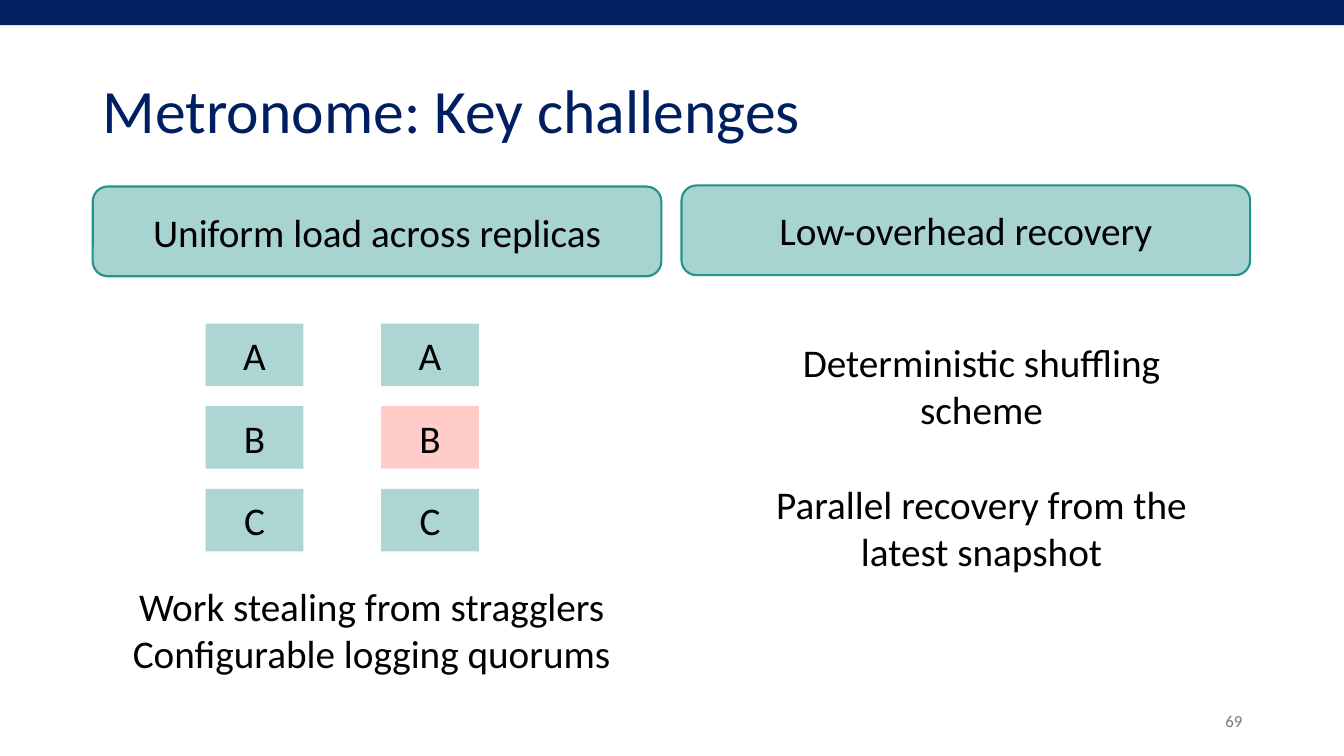
from lxml.etree import SubElement
from pptx import Presentation
from pptx.dml.color import RGBColor
from pptx.enum.shapes import MSO_SHAPE
from pptx.enum.text import MSO_ANCHOR, PP_ALIGN
from pptx.oxml.ns import qn
from pptx.util import Inches, Pt

COLORS = {
    "bar": "002060",
    "title": "001F60",
    "number": "797979",
    "teal": "23918C",
    "replica": "ADD5D3",
    "straggler": "FFCCC9",
    "text": "000000",
    "white": "FFFFFF",
}


class SlideBuilder:
    """Draws styled elements on one slide, placed in percent of its size."""

    font = "Calibri"
    body_size = 28

    def __init__(self, deck):
        self.deck = deck
        self.page = deck.slides.add_slide(deck.slide_layouts[5])

    def place(self, left, top, width, height):
        across, down = self.deck.slide_width / 100, self.deck.slide_height / 100
        return [round(v) for v in (left * across, top * down, width * across, height * down)]

    def add_text(self, box, paragraphs, size=body_size, color="text", align=PP_ALIGN.CENTER, gap=0):
        frame = box.text_frame
        frame.word_wrap = True
        frame.vertical_anchor = MSO_ANCHOR.MIDDLE
        for index, lines in enumerate(paragraphs):
            para = frame.add_paragraph() if index else frame.paragraphs[0]
            para.alignment = align
            if index:
                para.space_before = Pt(gap)
            for number, line in enumerate(lines):
                if number:
                    para.add_line_break()
                span = para.add_run()
                span.text = line
                span.font.name = self.font
                span.font.size = Pt(size)
                span.font.color.rgb = RGBColor.from_string(COLORS[color])

    def title(self, text, area):
        box = self.page.shapes.title
        box.left, box.top, box.width, box.height = self.place(*area)
        self.add_text(box, [[text]], 44, "title", PP_ALIGN.LEFT)
        box.text_frame.paragraphs[0].line_spacing = 0.9

    def page_number(self, text, area):
        box = self.page.shapes.add_textbox(*self.place(*area))
        self.add_text(box, [[text]], 12, "number", PP_ALIGN.RIGHT)

    def block(self, area, fill, paragraphs=(), kind=MSO_SHAPE.RECTANGLE, parent=None, gap=0):
        box = (parent or self.page).shapes.add_shape(kind, *self.place(*area))
        box.shadow.inherit = False
        box.fill.solid()
        box.fill.fore_color.rgb = RGBColor.from_string(COLORS[fill])
        box.line.fill.background()
        self.add_text(box, paragraphs, gap=gap)
        return box

    def heading(self, text, area):
        box = self.block(area, "teal", [[text]], MSO_SHAPE.ROUNDED_RECTANGLE)
        box.line.color.rgb = RGBColor.from_string(COLORS["teal"])
        box.line.width = Pt(1.5)
        color = box._element.spPr.find(qn("a:solidFill")).find(qn("a:srgbClr"))
        SubElement(color, qn("a:alpha")).set("val", "40000")

    def replicas(self, left, top, fills):
        group = self.page.shapes.add_group_shape()
        for row, (name, fill) in enumerate(zip("ABC", fills)):
            self.block((left, top + row * 10.93, 7.28, 8.27), fill, [[name]], parent=group)


def main():
    deck = Presentation()
    deck.slide_width, deck.slide_height = Inches(13.33), Inches(7.5)
    slide = SlideBuilder(deck)
    slide.block((0, 0, 100, 3.33), "bar")
    slide.title("Metronome: Key challenges", (6.9, 5.33, 86.27, 19.33))
    slide.page_number("69", (70.67, 92.67, 22.5, 5.33))
    slide.heading("Uniform load across replicas", (6.9, 24.67, 42.31, 11.87))
    slide.heading("Low-overhead recovery", (50.71, 24.53, 42.31, 11.87))
    slide.replicas(15.3, 42.8, ["replica"] * 3)
    slide.replicas(28.36, 42.8, ["replica", "straggler", "replica"])
    slide.block(
        (6.08, 75.6, 43.14, 15.33),
        "white",
        [["Work stealing from stragglers", "Configurable logging quorums"]],
    )
    slide.block(
        (51.46, 45.33, 43.14, 30.13),
        "white",
        [["Deterministic shuffling", "scheme"], ["Parallel recovery from the", "latest snapshot"]],
        gap=34,
    )
    deck.save("out.pptx")


if __name__ == "__main__":
    main()
